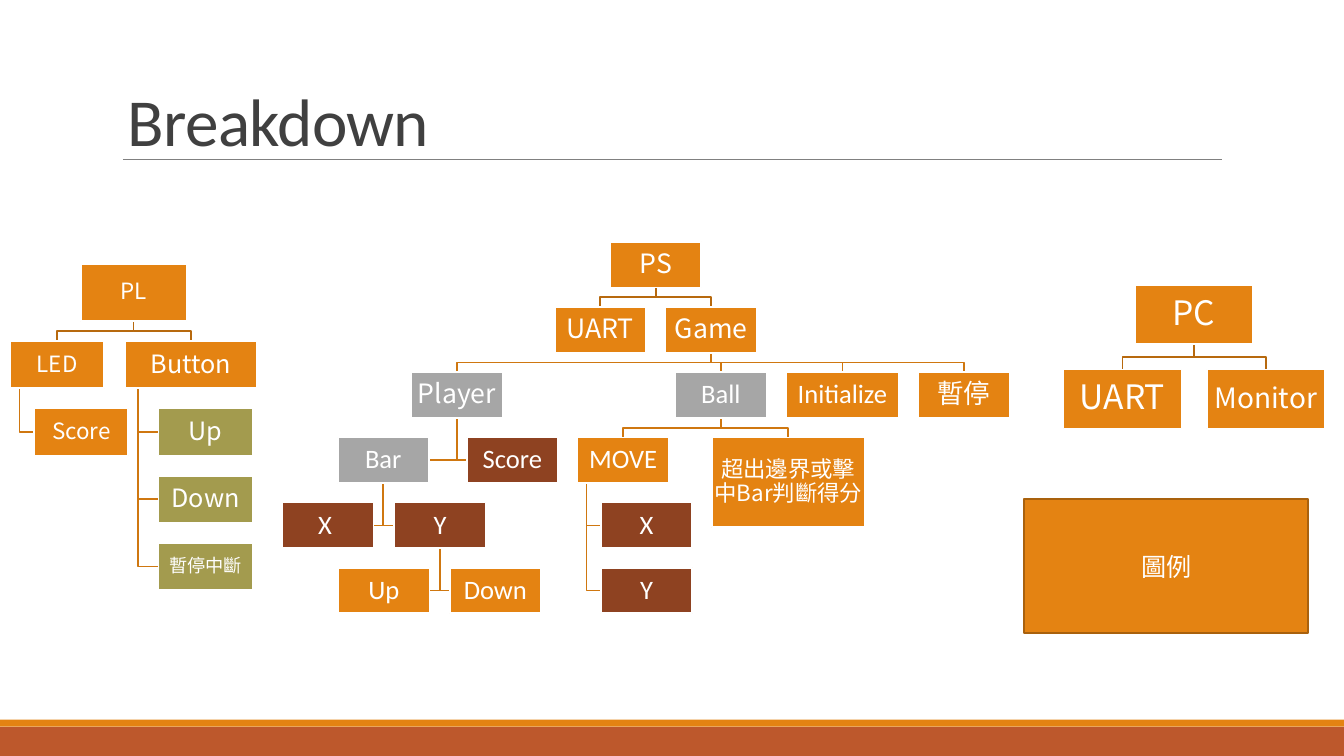
import dataclasses

import lxml.etree
import pptx
import pptx.dml.color
import pptx.enum.shapes
import pptx.enum.text
import pptx.oxml.ns
import pptx.util

ALIGN = pptx.enum.text.PP_ALIGN
ANCHOR = pptx.enum.text.MSO_ANCHOR
COLUMNS, ROWS = 133.33, 75  # page grid, in tenths of an inch


@dataclasses.dataclass(frozen=True)
class Theme:
    orange: str = "E48312"
    rust: str = "BD582C"
    brown: str = "8E4221"
    olive: str = "A39B4E"
    grey: str = "A6A6A6"
    white: str = "FFFFFF"
    title: str = "404040"
    rule: str = "808080"
    legend_edge: str = "A9610D"
    root_link: str = "B7690E"
    link: str = "CF7710"
    latin: str = "Calibri"
    cjk: str = "Noto Sans CJK SC"
    title_size: float = 48
    huge: float = 24
    large: float = 20
    normal: float = 19
    medium: float = 18
    small: float = 16
    tiny: float = 13
    edge: float = 1.25
    hairline: float = 0.5


THEME = Theme()


@dataclasses.dataclass
class Node:
    """A box in a tree; left, width and height are in units of that tree."""
    label: str
    left: float
    children: tuple = ()
    join: str = "fork"  # fork: from above, side: centre trunk, hang: left trunk
    fill: str = THEME.orange
    font: str = THEME.cjk
    size: float = THEME.normal
    width: float = 14
    height: float = 7


def color(code):
    return pptx.dml.color.RGBColor.from_string(code)


def cells(count):
    return pptx.util.Inches(count / 10)


class Page:
    def __init__(self, deck, theme):
        self.theme = theme
        self.slide = deck.slides.add_slide(deck.slide_layouts[6])

    def outline(self, shape, code, width):
        shape.line.color.rgb = color(code)
        shape.line.width = pptx.util.Pt(width)

    def label(self, shape, text, font, size, code, inset=None, spacing=1.0,
              align=ALIGN.CENTER, anchor=ANCHOR.MIDDLE):
        frame = shape.text_frame
        layout = {"word_wrap": True, "vertical_anchor": anchor}
        if inset is not None:
            sides = ("left", "top", "right", "bottom")
            layout.update({f"margin_{side}": cells(inset) for side in sides})
        para = frame.paragraphs[0]
        span = para.add_run()
        span.text = text
        formats = (
            (frame, layout),
            (para, {"alignment": align, "line_spacing": spacing}),
            (span.font, {"name": font, "size": pptx.util.Pt(size)}),
        )
        for target, values in formats:
            for key, value in values.items():
                setattr(target, key, value)
        span.font.color.rgb = color(code)
        if font == self.theme.cjk:
            east = lxml.etree.SubElement(span.font._element, pptx.oxml.ns.qn("a:ea"))
            east.set("typeface", font)
        return span

    def box(self, left, top, width, height, fill, edge=None):
        shape = self.slide.shapes.add_shape(
            pptx.enum.shapes.MSO_SHAPE.RECTANGLE, *map(cells, (left, top, width, height)))
        shape.fill.solid()
        shape.fill.fore_color.rgb = color(fill)
        if edge:
            self.outline(shape, edge, self.theme.edge)
        else:
            shape.line.fill.background()
        shape.shadow.inherit = False
        return shape

    def title(self, text, left, top, width, height):
        shape = self.slide.shapes.add_textbox(*map(cells, (left, top, width, height)))
        span = self.label(shape, text, self.theme.latin, self.theme.title_size,
                          self.theme.title, spacing=0.85, align=ALIGN.LEFT,
                          anchor=ANCHOR.BOTTOM)
        span.font._element.set("spc", "-50")

    def rule(self, left, right, top):
        line = self.slide.shapes.add_connector(
            pptx.enum.shapes.MSO_CONNECTOR.STRAIGHT, *map(cells, (left, top, right, top)))
        self.outline(line, self.theme.rule, self.theme.hairline)
        lxml.etree.SubElement(line._element.spPr, pptx.oxml.ns.qn("a:effectLst"))

    def elbow(self, points, code):
        corners = [(cells(x), cells(y)) for x, y in points]
        builder = self.slide.shapes.build_freeform(*corners[0])
        builder.add_line_segments(corners[1:], close=False)
        shape = builder.convert_to_shape()
        shape.fill.background()
        self.outline(shape, code, self.theme.edge)
        shape.shadow.inherit = False

    def tree(self, root, left, top, rows, inset=0.1):
        """Draw a tree whose unit is the slide height divided by rows."""
        unit = ROWS / rows
        gap = 3 * unit
        pitch = 10 * unit
        boxes, links = [], []

        def place(node, node_top, code):
            x, width, height = (left + node.left * unit, node.width * unit,
                                node.height * unit)
            boxes.append((node, x, node_top, width, height))
            bottom = node_top + height
            trunk = x + width * (0.1 if node.join == "hang" else 0.5)
            for order, child in enumerate(node.children):
                child_top = bottom + gap
                if node.join == "hang":
                    child_top += order * pitch
                start = left + child.left * unit
                end = start + child.width * unit
                if node.join == "fork":
                    bend, middle = bottom + gap / 2, (start + end) / 2
                    tail = [(trunk, bend), (middle, bend), (middle, child_top)]
                else:
                    bend = child_top + child.height * unit / 2
                    tail = [(trunk, bend), (end if end < trunk else start, bend)]
                links.append(([(trunk, bottom), *tail], code))
                place(child, child_top, self.theme.link)

        place(root, top, self.theme.root_link)
        for points, code in links:
            self.elbow(points, code)
        for node, *frame in boxes:
            shape = self.box(*frame, node.fill, self.theme.white)
            self.label(shape, node.label, node.font, node.size, self.theme.white,
                       inset, spacing=0.9)


# Content of the three trees
LATIN = {"font": THEME.latin}
BROWN = {"fill": THEME.brown, **LATIN}
GREY = {"fill": THEME.grey, **LATIN}
OLIVE = {"fill": THEME.olive, "size": THEME.medium}
SMALL = {"size": THEME.small}
HUGE = {"size": THEME.huge}

BAR = Node("Bar", 8.5, (
    Node("X ", 0, **BROWN),
    Node("Y", 17.2, (Node("Up", 8.6, **LATIN), Node("Down", 25.7, **LATIN)),
         "side", **BROWN),
), "side", **GREY)
PLAYER = Node("Player", 19.8, (BAR, Node("Score", 28.3, **BROWN)), "side",
              fill=THEME.grey)
BALL = Node("Ball", 60.3, (
    Node("MOVE", 45.3, (Node("X", 48.9, **BROWN), Node("Y", 48.9, **BROWN)),
         "hang", **LATIN),
    Node("超出邊界或擊中Bar判斷得分", 65.9, width=23.5, height=13.8, **SMALL),
), **GREY)
GAME = Node("Game", 58.8, (
    PLAYER, BALL, Node("Initialize", 77.3, width=17.3, **LATIN), Node("暫停", 97.6)))
PS = Node("PS", 50.3, (Node("UART", 41.8), GAME))

BUTTON = Node("Button", 17.1, (
    Node("Up", 22.1, **OLIVE),
    Node("Down", 22.1, **OLIVE),
    Node("暫停中斷", 22.1, fill=THEME.olive, size=THEME.tiny),
), "hang", size=THEME.medium, width=19.6)
LED = Node("LED", 0, (Node("Score", 3.6, **SMALL),), "hang", **SMALL)
PL = Node("PL", 10.5, (LED, BUTTON), width=15.75, height=8.5, **SMALL)

PC = Node("PC", 8.5, (
    Node("UART", 0, **HUGE), Node("Monitor", 17, size=THEME.large)), **HUGE)


def main():
    deck = pptx.Presentation()
    deck.slide_width, deck.slide_height = cells(COLUMNS), cells(ROWS)
    page = Page(deck, THEME)

    # Footer bands, title and rule
    page.box(0, 72.1, COLUMNS, 2.9, THEME.rust)
    page.box(0, 71.4, COLUMNS, 0.7, THEME.orange)
    page.rule(12.2, 121.2, 15.8)
    page.title("Breakdown", 11.7, 0.5, 110, 15.9)

    # Trees
    page.tree(PS, left=28, top=24, rows=116)
    page.tree(PL, left=1, top=26.2, rows=112.5)
    page.tree(PC, left=105.5, top=28.3, rows=89.7, inset=0.2)

    # Legend
    legend = page.box(101.6, 49.5, 28.2, 13.3, THEME.orange, THEME.legend_edge)
    page.label(legend, "圖例", THEME.latin, THEME.medium, THEME.white)

    deck.save("out.pptx")


if __name__ == "__main__":
    main()
